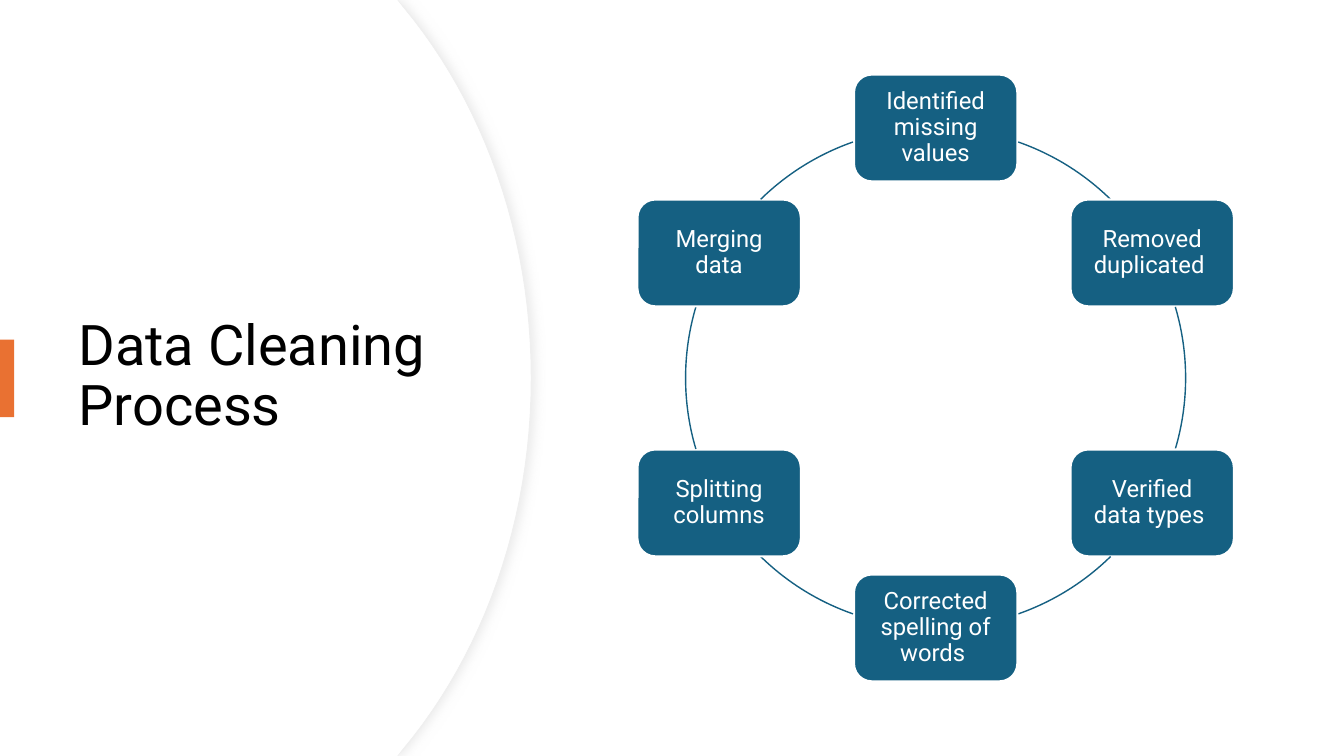
import math

from lxml import etree
from pptx import Presentation
from pptx.dml.color import RGBColor
from pptx.enum import shapes, text
from pptx.oxml import ns
from pptx.util import Inches, Pt

WHITE = RGBColor(0xFF, 0xFF, 0xFF)
BLACK = RGBColor(0, 0, 0)
EDGE = RGBColor(0xEF, 0xEF, 0xEF)
ORANGE = RGBColor(0xE9, 0x71, 0x32)
TEAL = RGBColor(0x15, 0x60, 0x82)
FONT = "Roboto"


def write(shape, words, size, color, align, inset_x, inset_y):
    frame = shape.text_frame
    settings = {
        "word_wrap": True, "vertical_anchor": text.MSO_ANCHOR.MIDDLE,
        "margin_left": Inches(inset_x), "margin_right": Inches(inset_x),
        "margin_top": Inches(inset_y), "margin_bottom": Inches(inset_y),
    }
    for key, value in settings.items():
        setattr(frame, key, value)
    paragraph = frame.paragraphs[0]
    paragraph.alignment = align
    paragraph.line_spacing = 0.9
    run = paragraph.add_run()
    run.text = words
    run.font.name = FONT
    run.font.size = Pt(size)
    run.font.color.rgb = color


def bezier(p0, p1, p2, p3, steps=24):
    curve = []
    for step in range(1, steps + 1):
        t = step / steps
        weights = ((1 - t) ** 3, 3 * t * (1 - t) ** 2, 3 * t * t * (1 - t), t ** 3)
        curve.append(tuple(sum(w * p[axis] for w, p in zip(weights, (p0, p1, p2, p3)))
                           for axis in (0, 1)))
    return curve


prs = Presentation()
prs.slide_width, prs.slide_height = Inches(13.33), Inches(7.5)
slide = prs.slides.add_slide(prs.slide_layouts[6])

# Curved white panel: a shadowed, outlined layer under a plain one
for bulge, outlined in ((5.27, True), (5.26, False)):
    shoulder, pull = bulge - 1.26, bulge - 0.48
    upper = bezier((shoulder, 0.08), (pull, 1.02), (bulge, 2.32), (bulge, 3.75))
    lower = [(x, 7.5 - y) for x, y in reversed(upper[:-1])]
    outline = [(3.94, 0), (shoulder, 0.08), *upper, *lower,
               (shoulder, 7.42), (3.94, 7.5), (0, 7.5)]
    builder = slide.shapes.build_freeform(0, 0)
    builder.add_line_segments([(Inches(x), Inches(y)) for x, y in outline])
    panel = builder.convert_to_shape()
    panel.fill.solid()
    panel.fill.fore_color.rgb = WHITE
    panel.shadow.inherit = False
    if outlined:
        panel.line.color.rgb = EDGE
        panel.line.width = Pt(0.75)
        effects = panel.element.spPr.find(ns.qn("a:effectLst"))
        shadow = etree.SubElement(effects, ns.qn("a:outerShdw"),
                                  blurRad=str(Pt(7)), dist=str(Pt(3)), dir="0")
        tint = etree.SubElement(shadow, ns.qn("a:srgbClr"), val="D9D9D9")
        etree.SubElement(tint, ns.qn("a:alpha"), val="50000")
    else:
        panel.line.fill.background()

# Title and accent bar
title = slide.shapes.add_textbox(Inches(0.68), Inches(1.27), Inches(3.94), Inches(4.95))
write(title, "Data Cleaning Process", 40, BLACK, text.PP_ALIGN.LEFT, 0.1, 0.05)

accent = slide.shapes.add_shape(shapes.MSO_SHAPE.RECTANGLE,
                                0, Inches(3.37), Inches(0.14), Inches(0.77))
accent.fill.solid()
accent.fill.fore_color.rgb = ORANGE
accent.line.fill.background()
accent.shadow.inherit = False

# Cycle: six steps clockwise from the top, each followed by its arc in degrees
CENTER_X, CENTER_Y, RADIUS = 9.28, 3.75, 2.48
STEP_W, STEP_H = 1.62, 1.06
cycle = [
    ("Identified missing values", 289.3, 314.4),
    ("Removed duplicated ", 343.5, 16.5),
    ("Verified data types ", 45.6, 70.7),
    ("Corrected spelling of words ", 109.3, 134.4),
    ("Splitting columns", 163.5, 196.5),
    ("Merging data", 225.6, 250.7),
]
for index, (words, arc_start, arc_end) in enumerate(cycle):
    angle = math.radians(60 * index - 90)
    left = CENTER_X + RADIUS * math.cos(angle) - STEP_W / 2
    top = CENTER_Y + RADIUS * math.sin(angle) - STEP_H / 2
    step = slide.shapes.add_shape(shapes.MSO_SHAPE.ROUNDED_RECTANGLE, Inches(left),
                                  Inches(top), Inches(STEP_W), Inches(STEP_H))
    step.fill.solid()
    step.fill.fore_color.rgb = TEAL
    step.line.color.rgb = WHITE
    step.line.width = Pt(1.5)
    step.shadow.inherit = False
    write(step, words, 17, WHITE, text.PP_ALIGN.CENTER, 0.12, 0.12)

    arc = slide.shapes.add_shape(shapes.MSO_SHAPE.ARC, Inches(CENTER_X - RADIUS),
                                 Inches(CENTER_Y - RADIUS), Inches(2 * RADIUS),
                                 Inches(2 * RADIUS))
    # Arc adjustments count 60000 units a degree, scaled by 100000
    arc.adjustments[0] = arc_start * 0.6
    arc.adjustments[1] = arc_end * 0.6
    arc.fill.background()
    arc.line.color.rgb = TEAL
    arc.line.width = Pt(1)
    arc.shadow.inherit = False

prs.save("out.pptx")
